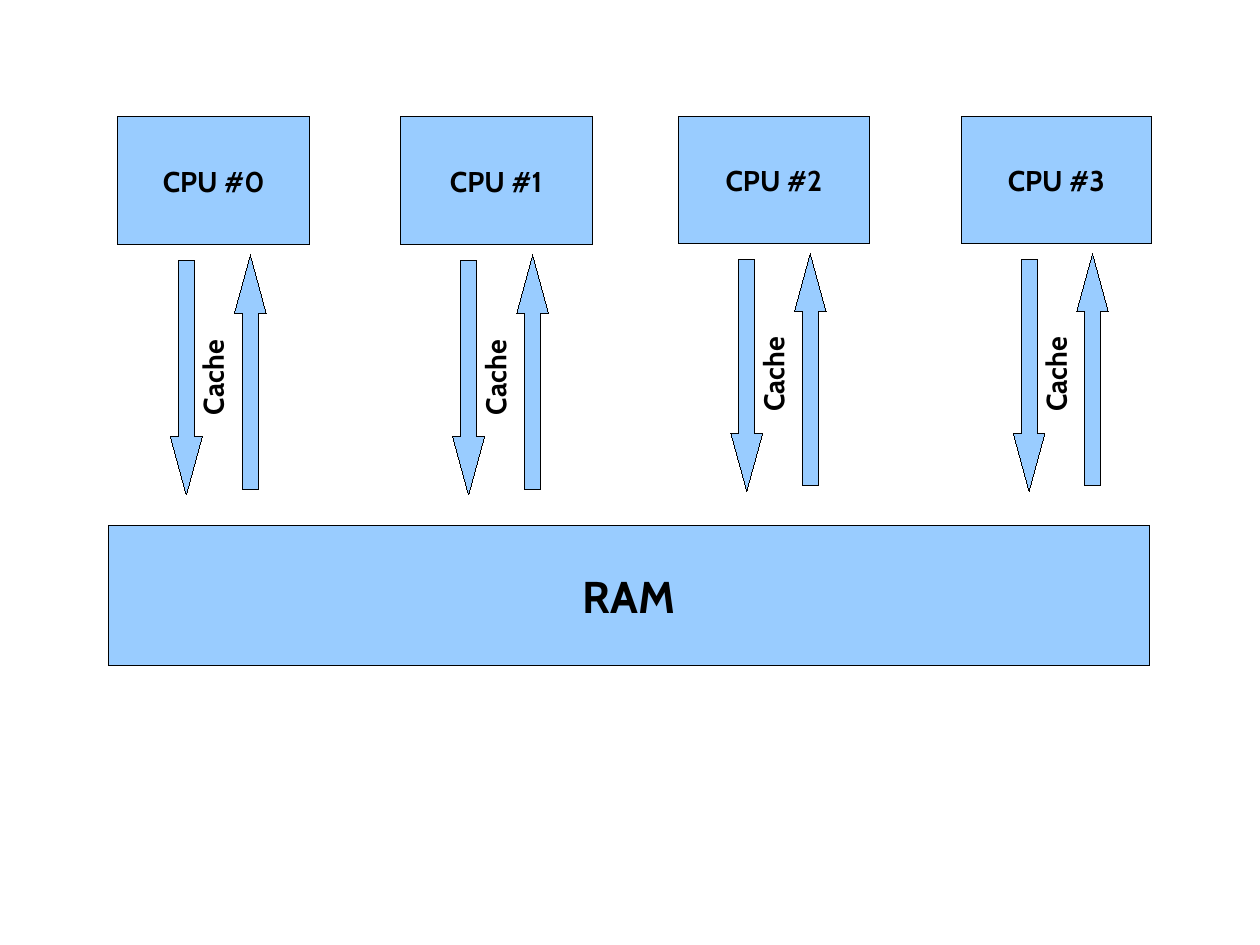
from dataclasses import dataclass

from pptx import Presentation
from pptx.dml.color import RGBColor
from pptx.enum.shapes import MSO_SHAPE
from pptx.enum.text import MSO_ANCHOR, PP_ALIGN
from pptx.util import Cm, Inches, Pt


@dataclass(frozen=True)
class Theme:
    """Colours, font, type sizes and line width of the diagram."""
    fill: RGBColor = RGBColor(0x99, 0xCC, 0xFF)
    ink: RGBColor = RGBColor(0, 0, 0)
    font: str = "Cabin"
    label: int = 18
    memory: int = 28
    hairline: float = 0.01


T = Theme()
CPU_LEFT, CPU_TOP = 1.03, 1.02
PAIR_STEP, CPU_STEP = 4.91, 2.47
UNIT_W, UNIT_H = 1.68, 3.31
RAM_BOX = (0.95, 4.6, 9.11, 1.22)


def inner(box, x, y, w, h):
    """Scale a part laid out on the unit grid into a box."""
    left, top, width, height = box
    kx, ky = width / UNIT_W, height / UNIT_H
    return left + x * kx, top + y * ky, w * kx, h * ky


def write(shape, text, size=T.label, align=PP_ALIGN.LEFT,
          anchor=MSO_ANCHOR.TOP, wrap=True):
    """Put one bold line of text in a shape."""
    tf = shape.text_frame
    tf.word_wrap = wrap
    tf.vertical_anchor = anchor
    p = tf.paragraphs[0]
    p.alignment = align
    r = p.add_run()
    r.text = text
    r.font.name = T.font
    r.font.size = Pt(size)
    r.font.bold = True
    r.font.color.rgb = T.ink


def add_block(shapes, kind, box):
    """Add a filled shape with a hairline outline."""
    sp = shapes.add_shape(kind, *map(Inches, box))
    sp.shadow.inherit = False
    sp.fill.solid()
    sp.fill.fore_color.rgb = T.fill
    sp.line.color.rgb = T.ink
    sp.line.width = Pt(T.hairline)
    return sp


def add_process(shapes, box, text, size=T.label):
    """Add a process box with a centred label."""
    sp = add_block(shapes, MSO_SHAPE.FLOWCHART_PROCESS, box)
    write(sp, text, size, PP_ALIGN.CENTER, MSO_ANCHOR.MIDDLE, wrap=False)


def add_arrow(shapes, box, rotation=0):
    """Add a slim block arrow that points down unless rotated."""
    sp = add_block(shapes, MSO_SHAPE.DOWN_ARROW, box)
    sp.adjustments[0] = 0.5
    sp.adjustments[1] = 1.83
    sp.rotation = rotation


def add_cpu(s, box, text):
    """Add a grouped CPU with its cache label and two arrows."""
    shapes = s.shapes.add_group_shape().shapes
    add_process(shapes, inner(box, 0, 0, UNIT_W, 1.12), text)
    add_arrow(shapes, inner(box, 0.46, 1.26, 0.28, 2.05))
    cache = shapes.add_textbox(*map(Inches, inner(box, 0.5, 1.77, 1.07, 0.81)))
    cache.rotation = 270
    write(cache, "Cache")
    add_arrow(shapes, inner(box, 1.02, 1.21, 0.28, 2.05), rotation=180)


def main():
    """Build the slide of four CPUs over shared memory."""
    prs = Presentation()
    prs.slide_width, prs.slide_height = Cm(28), Cm(21)
    s = prs.slides.add_slide(prs.slide_layouts[6])
    for pair, scale in enumerate((1, 0.99)):
        for col in range(2):
            left = CPU_LEFT + pair * PAIR_STEP + col * CPU_STEP
            box = (left, CPU_TOP, UNIT_W * scale, UNIT_H * scale)
            add_cpu(s, box, f"CPU #{2 * pair + col}")
    add_process(s.shapes, RAM_BOX, "RAM", T.memory)
    prs.save("out.pptx")


if __name__ == "__main__":
    main()
